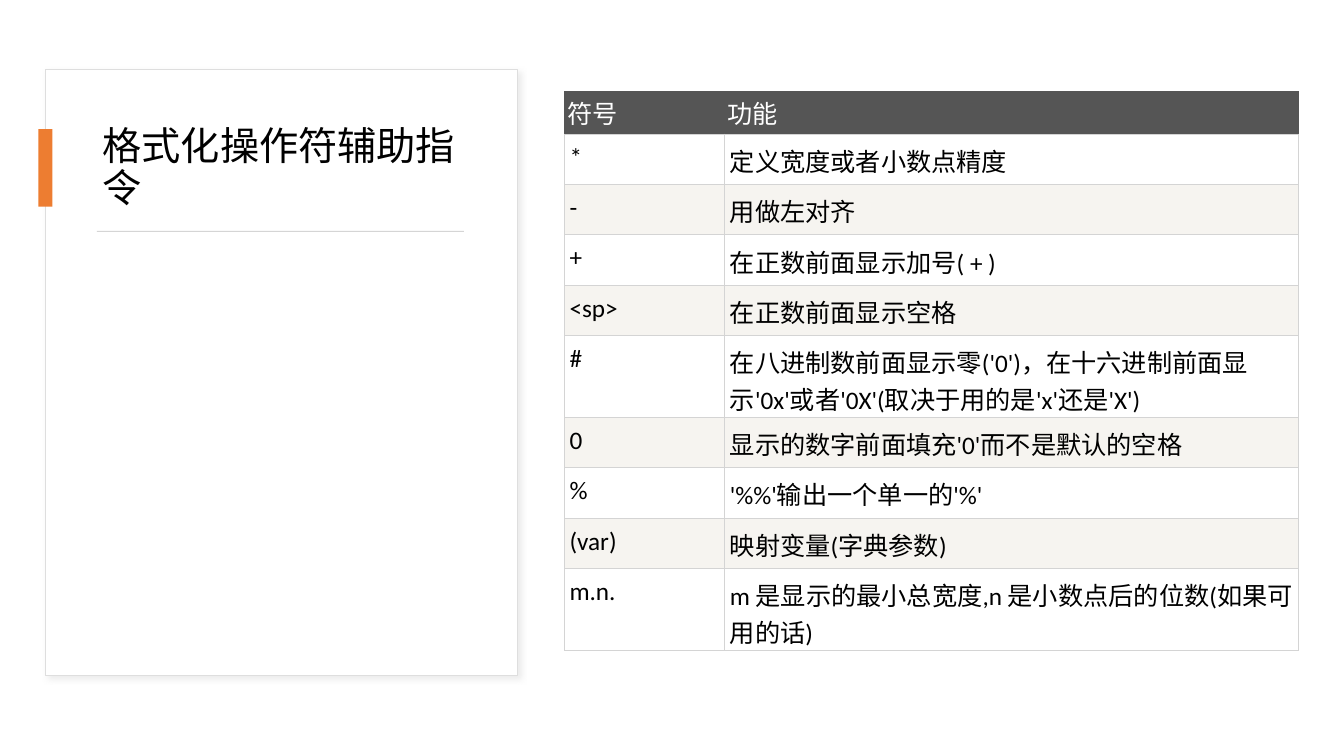
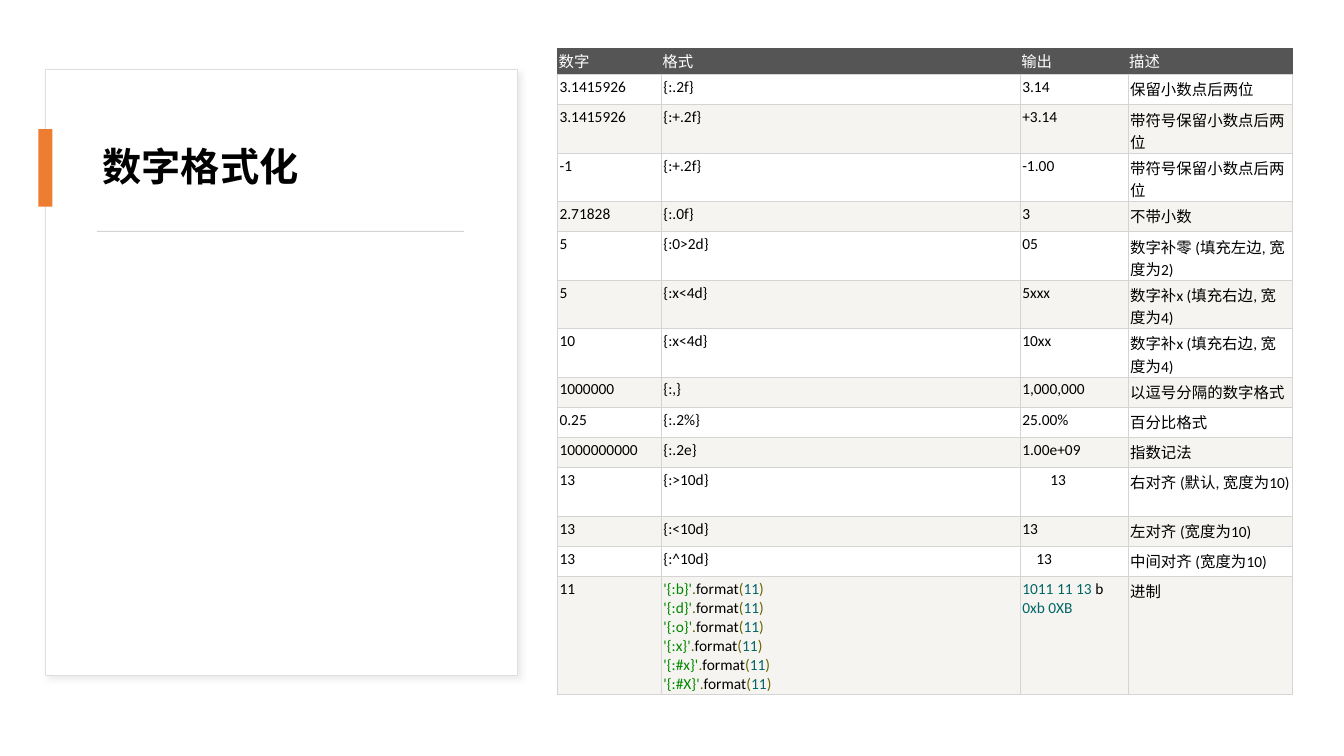
from dataclasses import dataclass
from typing import Optional, Union

from lxml.etree import SubElement
from pptx import Presentation
from pptx.dml.color import RGBColor
from pptx.enum.shapes import MSO_SHAPE as Shape
from pptx.enum.text import MSO_ANCHOR as Anchor
from pptx.oxml.ns import qn
from pptx.util import Inches, Length, Pt

WHITE = RGBColor(0xFF, 0xFF, 0xFF)
BLACK = RGBColor(0x00, 0x00, 0x00)
ORANGE = RGBColor(0xED, 0x7D, 0x31)
CARD_EDGE = RGBColor(0xDE, 0xDE, 0xDE)
CARD_SHADOW = RGBColor(0xD9, 0xD9, 0xD9)
RULE_GRAY = RGBColor(0xD5, 0xD5, 0xD5)
HEADER_GRAY = RGBColor(0x55, 0x55, 0x55)
CELL_EDGE = RGBColor(0xD4, 0xD4, 0xD4)
BAND = RGBColor(0xF6, 0xF4, 0xF0)
CODE_STRING = RGBColor(0x00, 0x88, 0x00)
CODE_SIGN = RGBColor(0x66, 0x66, 0x00)
CODE_NUMBER = RGBColor(0x00, 0x66, 0x66)
FONT = "Calibri"
HAIRLINE = Pt(0.75)
WIDTH, HEIGHT = Inches(13.33), Inches(7.5)


def across(percent: float) -> Length:
    return Length(int(WIDTH * percent / 100))


def down(percent: float) -> Length:
    return Length(int(HEIGHT * percent / 100))


@dataclass(frozen=True)
class Box:
    left: float
    top: float
    width: float
    height: float

    def lengths(self) -> tuple[Length, Length, Length, Length]:
        return across(self.left), down(self.top), across(self.width), down(self.height)


@dataclass(frozen=True)
class Panel:
    box: Box
    fill: RGBColor
    edge: Optional[RGBColor] = None
    shadow: Optional[RGBColor] = None


@dataclass(frozen=True)
class Piece:
    text: str
    color: RGBColor = BLACK


@dataclass(frozen=True)
class Line:
    pieces: tuple[Piece, ...]
    indent: float = 0


Content = Union[str, tuple[Line, ...]]


@dataclass(frozen=True)
class Grid:
    left: float
    top: float
    columns: tuple[float, ...]
    rows: tuple[float, ...]
    size: float
    header_padding: tuple[float, float]
    body_padding: tuple[float, float]
    cells: tuple[tuple[Content, ...], ...]


@dataclass(frozen=True)
class Page:
    title: str
    bold: bool
    grid: Grid


PANELS = (
    Panel(Box(3.38, 9.2, 35.11, 80.13), WHITE, CARD_EDGE, CARD_SHADOW),
    Panel(Box(2.85, 17.07, 1.05, 10.27), ORANGE),
    Panel(Box(7.2, 30.53, 27.31, 0.13), RULE_GRAY),
)
TITLE_BOX = Box(6.9, 14.27, 27.98, 16.13)


def format_call(pattern: str) -> Line:
    return Line((
        Piece(f"'{pattern}'", CODE_STRING), Piece(".", CODE_SIGN), Piece("format"),
        Piece("(", CODE_SIGN), Piece("11", CODE_NUMBER), Piece(")", CODE_SIGN),
    ))


def indented(text: str, points: float) -> tuple[Line, ...]:
    return (Line((Piece(text),), points),)


BASE_CALLS = tuple(map(format_call, ("{:b}", "{:d}", "{:o}", "{:x}", "{:#x}", "{:#X}")))
BASE_OUTPUT = (Line((
    Piece("1011 11 13", CODE_NUMBER), Piece(" b "), Piece("0xb 0XB", CODE_NUMBER),
)),)

SYMBOLS = (
    ("符号", "功能"),
    ("*", "定义宽度或者小数点精度"),
    ("-", "用做左对齐"),
    ("+", "在正数前面显示加号( + )"),
    ("<sp>", "在正数前面显示空格"),
    ("#", "在八进制数前面显示零('0')，在十六进制前面显示'0x'或者'0X'(取决于用的是'x'还是'X')"),
    ("0", "显示的数字前面填充'0'而不是默认的空格"),
    ("%", "'%%'输出一个单一的'%'"),
    ("(var)", "映射变量(字典参数)"),
    ("m.n.", "m 是显示的最小总宽度,n 是小数点后的位数(如果可用的话)"),
)
NUMBERS = (
    ("数字", "格式", "输出", "描述"),
    ("3.1415926", "{:.2f}", "3.14", "保留小数点后两位"),
    ("3.1415926", "{:+.2f}", "+3.14", "带符号保留小数点后两位"),
    ("-1", "{:+.2f}", "-1.00", "带符号保留小数点后两位"),
    ("2.71828", "{:.0f}", "3", "不带小数"),
    ("5", "{:0>2d}", "05", "数字补零 (填充左边, 宽度为2)"),
    ("5", "{:x<4d}", "5xxx", "数字补x (填充右边, 宽度为4)"),
    ("10", "{:x<4d}", "10xx", "数字补x (填充右边, 宽度为4)"),
    ("1000000", "{:,}", "1,000,000", "以逗号分隔的数字格式"),
    ("0.25", "{:.2%}", "25.00%", "百分比格式"),
    ("1000000000", "{:.2e}", "1.00e+09", "指数记法"),
    ("13", "{:>10d}", indented("13", 20), "右对齐 (默认, 宽度为10)"),
    ("13", "{:<10d}", "13", "左对齐 (宽度为10)"),
    ("13", "{:^10d}", indented("13", 10), "中间对齐 (宽度为10)"),
    ("11", BASE_CALLS, BASE_OUTPUT, "进制"),
)
SHORT, TALL = 4, 6.4
ONE_LINE, TWO_LINES = 6.67, 10.8

PAGES = (
    Page("格式化操作符辅助指令", False, Grid(
        42, 12.13, (11.93, 42.69),
        (5.6, *[ONE_LINE] * 4, TWO_LINES, *[ONE_LINE] * 3, TWO_LINES),
        18, (2, 2), (3.6, 5.7), SYMBOLS)),
    Page("数字格式化", True, Grid(
        41.48, 6.4, (7.73, 26.7, 8.03, 12.23),
        (3.47, SHORT, TALL, TALL, SHORT, *[TALL] * 3, *[SHORT] * 3,
         TALL, SHORT, SHORT, TALL),
        11, (0.8, 0.8), (1.5, 2.3), NUMBERS)),
)


def style_run(run, size: float, color: RGBColor, bold: bool = False) -> None:
    run.font.name = FONT
    run.font.size = Pt(size)
    run.font.bold = bold
    run.font.color.rgb = color


def add_color(parent, color: RGBColor):
    return SubElement(parent, qn("a:srgbClr"), val=str(color))


def cast_shadow(shape, color: RGBColor) -> None:
    effects = shape._element.spPr.find(qn("a:effectLst"))
    shadow = SubElement(effects, qn("a:outerShdw"), blurRad=str(Pt(4)),
                        dist=str(Pt(3)), dir="2700000", algn="tl", rotWithShape="0")
    SubElement(add_color(shadow, color), qn("a:alpha"), val="50000")


def draw_panel(slide, panel: Panel) -> None:
    shape = slide.shapes.add_shape(Shape.RECTANGLE, *panel.box.lengths())
    shape.fill.solid()
    shape.fill.fore_color.rgb = panel.fill
    if panel.edge is None:
        shape.line.fill.background()
    else:
        shape.line.color.rgb = panel.edge
        shape.line.width = HAIRLINE
    shape.shadow.inherit = False
    if panel.shadow is not None:
        cast_shadow(shape, panel.shadow)


def draw_title(slide, text: str, bold: bool) -> None:
    text_frame = slide.shapes.add_textbox(*TITLE_BOX.lengths()).text_frame
    text_frame.word_wrap = True
    text_frame.vertical_anchor = Anchor.MIDDLE
    text_frame.text = text
    paragraph = text_frame.paragraphs[0]
    paragraph.line_spacing = 0.9
    style_run(paragraph.runs[0], 28, BLACK, bold)


def draw_borders(cell, side_color: RGBColor) -> None:
    properties = cell._tc.get_or_add_tcPr()
    for side in "LRTB":
        line = SubElement(properties, qn(f"a:ln{side}"), w=str(HAIRLINE))
        color = CELL_EDGE if side == "B" else side_color
        add_color(SubElement(line, qn("a:solidFill")), color)


def write_cell(cell, content: Content, size: float, color: RGBColor) -> None:
    lines = (Line((Piece(content, color),)),) if isinstance(content, str) else content
    text_frame = cell.text_frame
    for index, line in enumerate(lines):
        paragraph = text_frame.add_paragraph() if index else text_frame.paragraphs[0]
        if line.indent:
            paragraph._p.get_or_add_pPr().set("marL", str(Pt(line.indent)))
        for piece in line.pieces:
            run = paragraph.add_run()
            run.text = piece.text
            style_run(run, size, piece.color)


def draw_grid(slide, grid: Grid) -> None:
    box = Box(grid.left, grid.top, sum(grid.columns), sum(grid.rows))
    table = slide.shapes.add_table(
        len(grid.rows), len(grid.columns), *box.lengths()).table
    table.first_row = False
    table.horz_banding = False
    for column, width in zip(table.columns, grid.columns):
        column.width = across(width)
    for row, height in zip(table.rows, grid.rows):
        row.height = down(height)
    for row_index, contents in enumerate(grid.cells):
        header = row_index == 0
        band = WHITE if row_index % 2 else BAND
        side, top = grid.header_padding if header else grid.body_padding
        for column_index, content in enumerate(contents):
            cell = table.cell(row_index, column_index)
            cell.margin_left = cell.margin_right = Pt(side)
            cell.margin_top = cell.margin_bottom = Pt(top)
            draw_borders(cell, HEADER_GRAY if header else CELL_EDGE)
            cell.fill.solid()
            cell.fill.fore_color.rgb = HEADER_GRAY if header else band
            write_cell(cell, content, grid.size, WHITE if header else BLACK)


def draw_page(presentation, page: Page) -> None:
    slide = presentation.slides.add_slide(presentation.slide_layouts[6])
    for panel in PANELS:
        draw_panel(slide, panel)
    draw_title(slide, page.title, page.bold)
    draw_grid(slide, page.grid)


presentation = Presentation()
presentation.slide_width, presentation.slide_height = WIDTH, HEIGHT
for page in PAGES:
    draw_page(presentation, page)
presentation.save("out.pptx")
